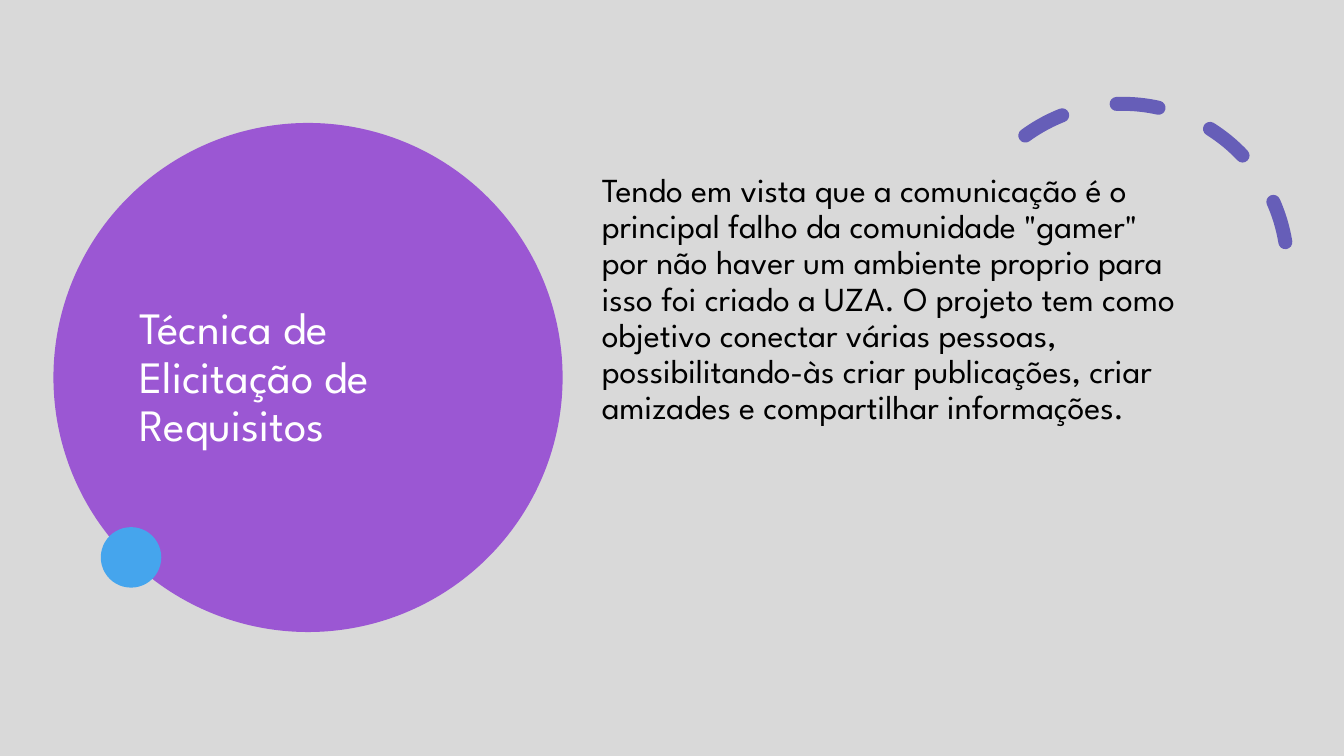
import pptx
import pptx.dml.color
import pptx.enum.dml
import pptx.enum.shapes
import pptx.enum.text
import pptx.util

Inches = pptx.util.Inches
Pt = pptx.util.Pt
SHAPES = pptx.enum.shapes.MSO_SHAPE
ANCHORS = pptx.enum.text.MSO_ANCHOR

FONT = "League Spartan"
COLORS = {
    "background": "D9D9D9",
    "circle": "9B57D3",
    "dot": "45A5ED",
    "arc": "665EB8",
    "title": "FFFFFF",
    "body": "000000",
}
TITLE = "Técnica de Elicitação de Requisitos"
BODY = (
    "Tendo em vista que a comunicação é o principal falho da comunidade "
    "\"gamer\" por não haver um ambiente proprio para isso foi criado a UZA. "
    "O projeto tem como objetivo conectar várias pessoas, possibilitando-às "
    "criar publicações, criar amizades e compartilhar informações."
)


def color(name):
    """Return the named palette colour."""
    return pptx.dml.color.RGBColor.from_string(COLORS[name])


def add_circle(page, left, top, diameter, fill):
    """Add a filled circle without an outline."""
    circle = page.shapes.add_shape(
        SHAPES.OVAL, Inches(left), Inches(top), Inches(diameter), Inches(diameter)
    )
    circle.shadow.inherit = False
    circle.fill.solid()
    circle.fill.fore_color.rgb = color(fill)
    circle.line.fill.background()


def add_dashed_arc(page, left, top, diameter):
    """Add the rotated arc with round-capped dashes."""
    arc = page.shapes.add_shape(
        SHAPES.ARC, Inches(left), Inches(top), Inches(diameter), Inches(diameter)
    )
    arc.adjustments[0] = 158.17
    arc.adjustments[1] = 17.81
    arc.rotation = 330.2
    arc.shadow.inherit = False
    arc.fill.background()
    arc.line.color.rgb = color("arc")
    arc.line.width = Pt(10)
    arc.line.dash_style = pptx.enum.dml.MSO_LINE.DASH
    arc.line._get_or_add_ln().set("cap", "rnd")


def set_text(box, text, size, fill, anchor):
    """Write one left-aligned paragraph in the slide font."""
    frame = box.text_frame
    frame.text = text
    frame.word_wrap = True
    frame.auto_size = pptx.enum.text.MSO_AUTO_SIZE.NONE
    frame.vertical_anchor = anchor
    para = frame.paragraphs[0]
    para.alignment = pptx.enum.text.PP_ALIGN.LEFT
    para.line_spacing = 0.9
    span = para.runs[0]
    span.font.name = FONT
    span.font.size = Pt(size)
    span.font.color.rgb = color(fill)


def place_title(page, left, top, width, height):
    """Move and format the title placeholder."""
    title = page.shapes.title
    title.left, title.top = Inches(left), Inches(top)
    title.width, title.height = Inches(width), Inches(height)
    set_text(title, TITLE, 32, "title", ANCHORS.MIDDLE)


def add_body(page, left, top, width, height):
    """Add the paragraph beside the large circle."""
    box = page.shapes.add_textbox(
        Inches(left), Inches(top), Inches(width), Inches(height)
    )
    set_text(box, BODY, 24, "body", ANCHORS.TOP)


def main():
    """Build the slide and save the deck."""
    deck = pptx.Presentation()
    deck.slide_width, deck.slide_height = Inches(13.33), Inches(7.5)
    page = deck.slides.add_slide(deck.slide_layouts[5])
    page.background.fill.solid()
    page.background.fill.fore_color.rgb = color("background")

    add_circle(page, 0.53, 1.22, 5.05, "circle")
    title = page.shapes.title
    page.shapes._spTree.append(title._element)
    place_title(page, 1.28, 1.53, 3.54, 4.45)
    add_body(page, 5.87, 1.67, 6.05, 4.3)
    add_dashed_arc(page, 9.5, 1.03, 3.27)
    add_circle(page, 1, 5.23, 0.6, "dot")
    deck.save("out.pptx")


if __name__ == "__main__":
    main()
